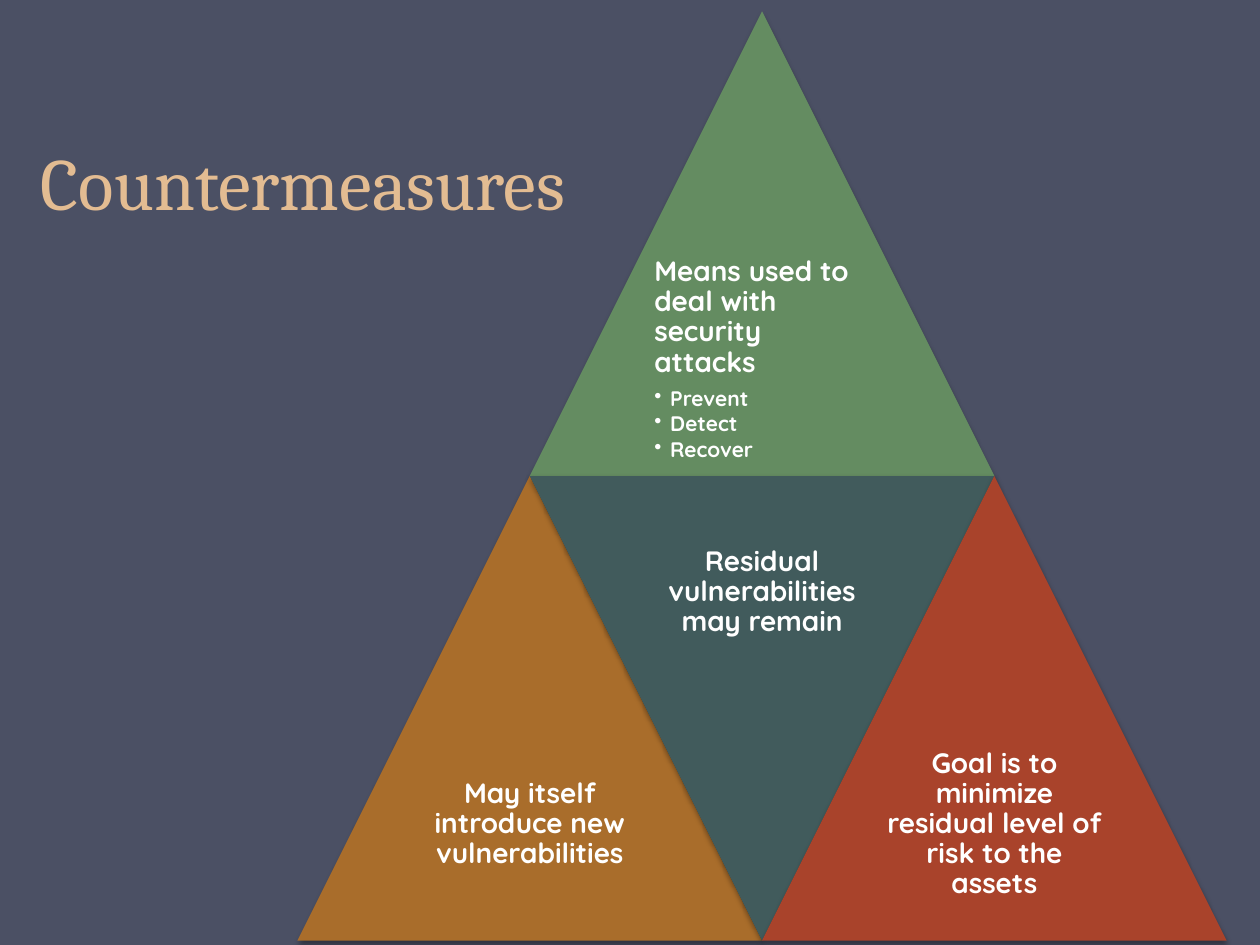
import pptx
import pptx.dml.color
import pptx.enum.shapes
import pptx.enum.text
import pptx.oxml
import pptx.oxml.ns
import pptx.util
from dataclasses import dataclass

Pt = pptx.util.Pt
ALIGN = pptx.enum.text.PP_ALIGN
ANCHOR = pptx.enum.text.MSO_ANCHOR


@dataclass(frozen=True)
class Theme:
    """Colours, fonts and type sizes of the slide."""
    background: str = "4B5064"
    title: str = "E3BC92"
    text: str = "FFFFFF"
    green: str = "648C61"
    ochre: str = "A96D2B"
    teal: str = "415B5C"
    red: str = "A9432B"
    title_font: str = "Cambria"
    body_font: str = "Quicksand"
    title_size: int = 42
    body_size: int = 16
    bullet_size: int = 12


THEME = Theme()


def rgb(value):
    """Return a colour object for a hex value."""
    return pptx.dml.color.RGBColor.from_string(value)


def assign(target, values):
    """Set each named attribute on the target."""
    for name, value in values.items():
        setattr(target, name, value)


def add_text_box(shapes, area, anchor, inset):
    """Add a wrapping text box and return its text frame."""
    frame = shapes.add_textbox(*map(Pt, area)).text_frame
    assign(frame, {"word_wrap": True, "vertical_anchor": anchor})
    assign(frame, {f"margin_{side}": Pt(inset) for side in ("left", "top", "right", "bottom")})
    return frame


def write(para, text, font, layout):
    """Write one formatted run into a paragraph."""
    span = para.add_run()
    span.text = text
    span.font.color.rgb = rgb(font.pop("color"))
    assign(span.font, font)
    assign(para, layout)


def add_bullet(para, indent):
    """Give a paragraph a round bullet with a hanging indent."""
    properties = para._p.get_or_add_pPr()
    properties.set("marL", str(Pt(indent)))
    properties.set("indent", str(-Pt(indent)))
    properties.append(pptx.oxml.parse_xml(
        f'<a:buChar {pptx.oxml.ns.nsdecls("a")} char="•"/>'))


def add_soft_shadow(shape):
    """Give a shape a faint shadow that falls straight down."""
    shape.shadow.inherit = False
    effects = shape._element.spPr.find(pptx.oxml.ns.qn("a:effectLst"))
    effects.append(pptx.oxml.parse_xml(
        f'<a:outerShdw {pptx.oxml.ns.nsdecls("a")} blurRad="{Pt(3.1)}" dist="{Pt(1.8)}" '
        'dir="5400000" rotWithShape="0"><a:srgbClr val="000000">'
        '<a:alpha val="35000"/></a:srgbClr></a:outerShdw>'))


def add_title(page, area, text):
    """Place the slide title at the bottom of its box."""
    frame = add_text_box(page.shapes, area, ANCHOR.BOTTOM, 3.6)
    write(frame.paragraphs[0], text,
          {"name": THEME.title_font, "size": Pt(THEME.title_size), "color": THEME.title},
          {"alignment": ALIGN.CENTER, "line_spacing": Pt(58)})


def add_triangle(shapes, area, color, text, bullets=(), inverted=False):
    """Place a triangle and the text in the widest half of its box."""
    left, top, width, height = area
    triangle = shapes.add_shape(
        pptx.enum.shapes.MSO_SHAPE.ISOSCELES_TRIANGLE, *map(Pt, area))
    triangle.fill.solid()
    triangle.fill.fore_color.rgb = rgb(color)
    triangle.line.fill.background()
    triangle.rotation = 180 if inverted else 0
    add_soft_shadow(triangle)

    text_top = top if inverted else top + height / 2
    frame = add_text_box(shapes, (left + width / 4, text_top, width / 2, height / 2),
                         ANCHOR.MIDDLE, 4.8)
    font = {"name": THEME.body_font, "bold": True, "color": THEME.text}
    write(frame.paragraphs[0], text, font | {"size": Pt(THEME.body_size)},
          {"alignment": ALIGN.LEFT if bullets else ALIGN.CENTER,
           "line_spacing": 0.9, "space_after": Pt(5.6)})
    for bullet in bullets:
        para = frame.add_paragraph()
        add_bullet(para, 9)
        write(para, bullet, font | {"size": Pt(THEME.bullet_size)},
              {"level": 1, "line_spacing": 0.9, "space_after": Pt(1.8)})


def add_pyramid(page, area):
    """Place four triangles that together fill one large triangle."""
    left, top, width, height = area
    shapes = page.shapes.add_group_shape().shapes
    parts = [
        (1, 0, THEME.green, "Means used to deal with security attacks",
         ("Prevent", "Detect", "Recover"), False),
        (0, 1, THEME.ochre, "May itself introduce new vulnerabilities", (), False),
        (1, 1, THEME.teal, "Residual vulnerabilities may remain", (), True),
        (2, 1, THEME.red, "Goal is to minimize residual level of risk to the assets", (), False),
    ]
    for step, row, *content in parts:
        cell = (left + step * width / 4, top + row * height / 2, width / 2, height / 2)
        add_triangle(shapes, cell, *content)


def main():
    """Build and save the slide."""
    deck = pptx.Presentation()
    assign(deck, {"slide_width": Pt(720), "slide_height": Pt(540)})
    page = deck.slides.add_slide(deck.slide_layouts[6])
    page.background.fill.solid()
    page.background.fill.fore_color.rgb = rgb(THEME.background)
    add_title(page, (-48, 32, 442, 100), "Countermeasures")
    add_pyramid(page, (170, 6.5, 531, 531))
    deck.save("out.pptx")


if __name__ == "__main__":
    main()
